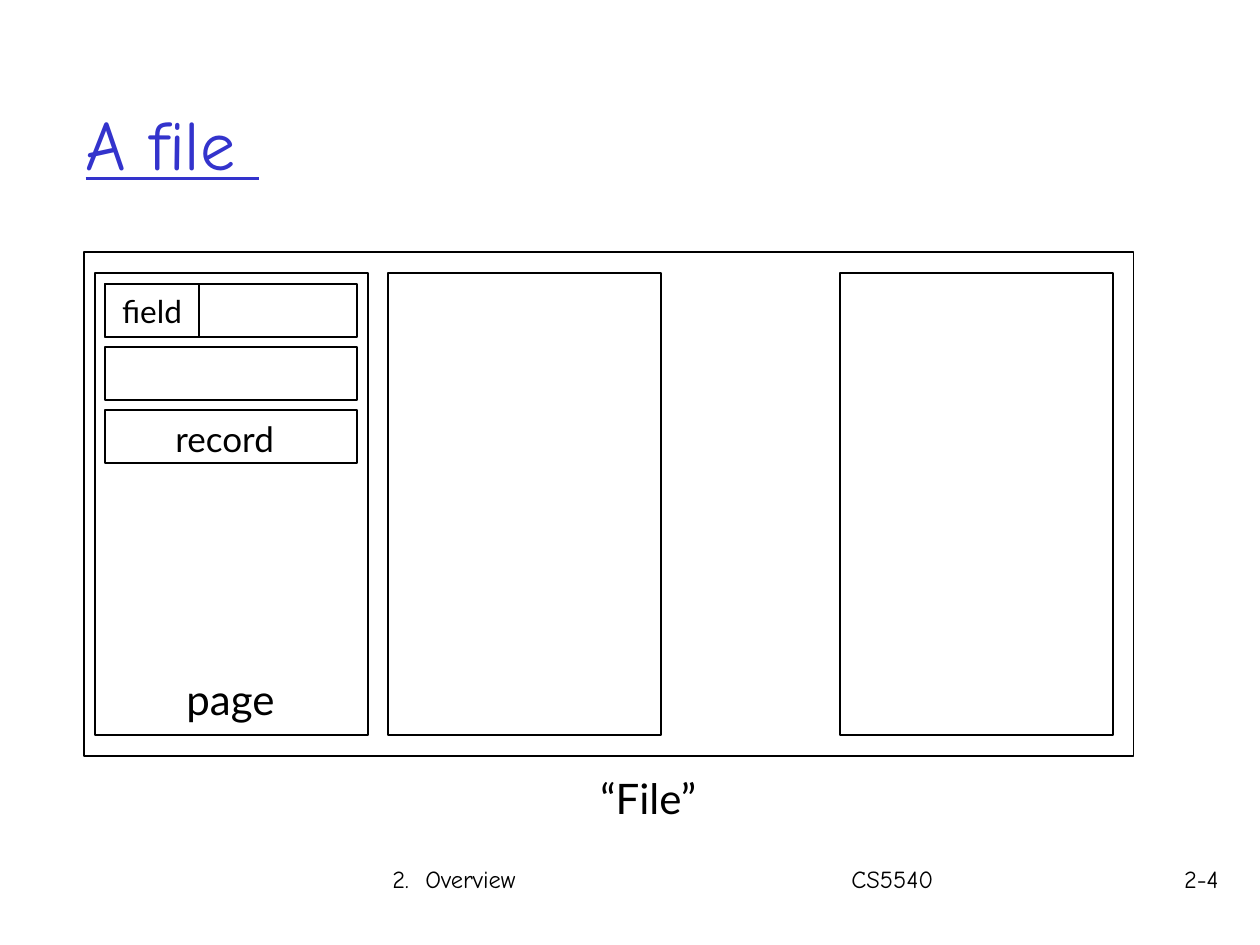
"""Builds a slide showing how a file holds pages, records and fields."""
from pptx import Presentation
from pptx.dml.color import RGBColor
from pptx.enum.shapes import MSO_SHAPE as SHAPE
from pptx.enum.text import MSO_ANCHOR as ANCHOR, PP_ALIGN as ALIGN
from pptx.util import Pt

PX = 914400 // 126
THEME = {
    "ink": RGBColor(0, 0, 0), "title": RGBColor(0x33, 0x33, 0xCC),
    "hand": "Comic Neue", "sans": "Lato", "line": 0.75,
    "title_size": 40, "large": 24, "medium": 20, "small": 18, "footer": 14,
}

TITLE = "A file "
FILE = (84, 252, 1050, 504)
PAGE_LEFTS = (95, 388, 840)
PAGE_TOP, PAGE_W, PAGE_H = 273, 273, 462
RECORDS, RECORD_W, RECORD_H, RECORD_STEP = 3, 252, 53, 63
RECORD_LEFT, RECORD_TOP = 105, 284
FIELD_W = 94
LABELS = [
    ("“File”", (588, 766, 122, 63), "sans", "large", ALIGN.LEFT),
    ("page", (174, 667, 123, 63), "sans", "large", ALIGN.LEFT),
    ("record", (163, 411, 134, 55), "sans", "medium", ALIGN.LEFT),
    ("2.  Overview", (380, 858, 300, 63), "hand", "footer", ALIGN.LEFT),
    ("CS5540", (839, 858, 200, 63), "hand", "footer", ALIGN.LEFT),
    ("2-4", (1138, 858, 93, 63), "hand", "footer", ALIGN.RIGHT),
]


def emu(box):
    return [v * PX for v in box]


def style(tf, text, font, size, color="ink", align=ALIGN.LEFT):
    tf.text = text
    p = tf.paragraphs[0]
    p.alignment = align
    f = p.runs[0].font
    f.name, f.size, f.color.rgb = THEME[font], Pt(THEME[size]), THEME[color]
    return f


def add_box(s, *box):
    sp = s.shapes.add_shape(SHAPE.RECTANGLE, *emu(box))
    sp.shadow.inherit = False
    sp.fill.background()
    sp.line.color.rgb = THEME["ink"]
    sp.line.width = Pt(THEME["line"])
    return sp


def add_label(s, text, box, font, size, align):
    tf = s.shapes.add_textbox(*emu(box)).text_frame
    tf.word_wrap = True
    style(tf, text, font, size, align=align)


def main():
    prs = Presentation()
    prs.slide_width, prs.slide_height = emu((1260, 945))
    s = prs.slides.add_slide(prs.slide_layouts[5])

    title = s.shapes.title
    title.left, title.top, title.width, title.height = emu((73, 64, 1071, 156))
    title.text_frame.vertical_anchor = ANCHOR.MIDDLE
    style(title.text_frame, TITLE, "hand", "title_size", "title").underline = True

    add_box(s, *FILE)
    for left in PAGE_LEFTS:
        add_box(s, left, PAGE_TOP, PAGE_W, PAGE_H)
    for i in range(RECORDS):
        add_box(s, RECORD_LEFT, RECORD_TOP + i * RECORD_STEP, RECORD_W, RECORD_H)

    tf = add_box(s, RECORD_LEFT, RECORD_TOP, FIELD_W, RECORD_H).text_frame
    tf.word_wrap = False
    tf.vertical_anchor = ANCHOR.MIDDLE
    style(tf, "field", "sans", "small", align=ALIGN.CENTER)

    for label in LABELS:
        add_label(s, *label)
    prs.save("out.pptx")


if __name__ == "__main__":
    main()
